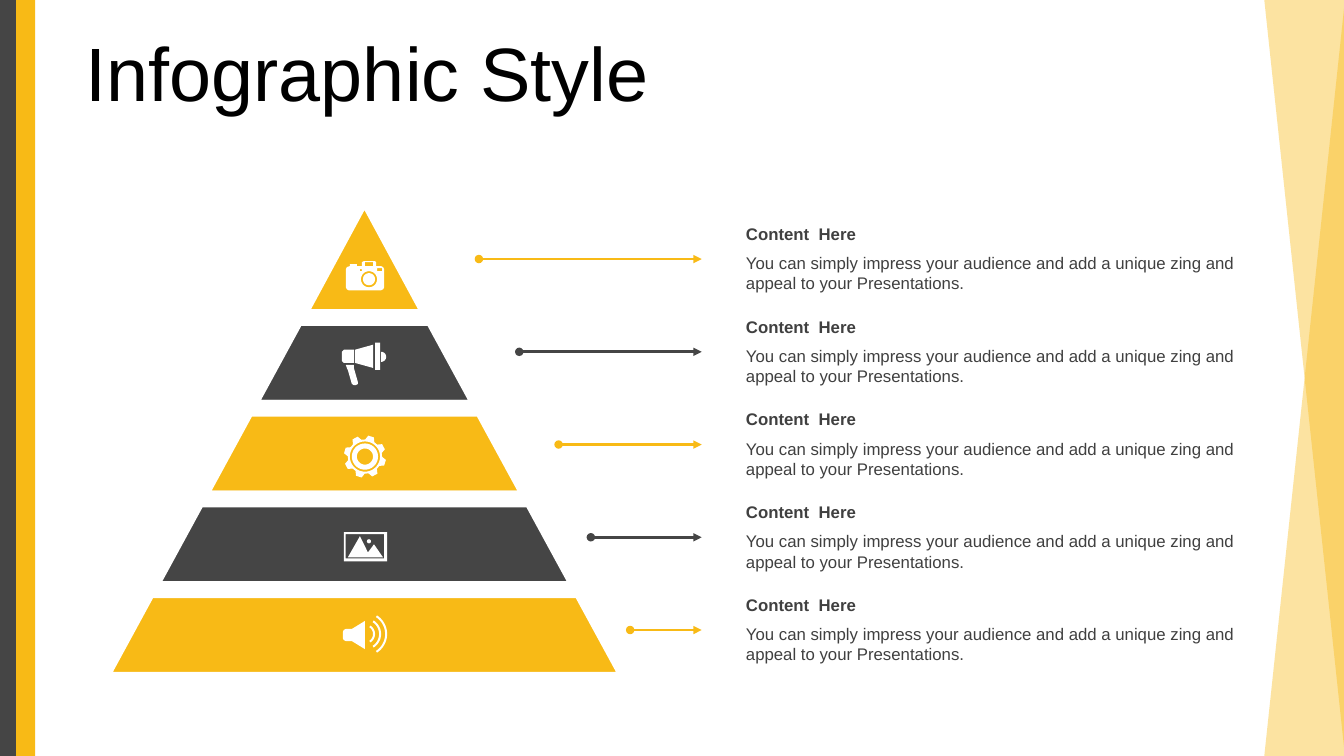
import math
from dataclasses import dataclass

from lxml import etree
from pptx import Presentation
from pptx import util as u
from pptx.dml.color import RGBColor
from pptx.enum import shapes, text
from pptx.oxml.ns import qn

PX = 9144  # one px is a hundredth of an inch

Point = tuple[float, float]
Contour = list[Point]


@dataclass(frozen=True)
class Theme:
    font: str = "Arial"
    amber: str = "F8BA16"
    charcoal: str = "454545"
    white: str = "FFFFFF"
    title: str = "000000"
    body: str = "404040"
    title_size: int = 54
    body_size: int = 12
    gap_width: int = 12
    arrow_width: int = 2


@dataclass(frozen=True)
class Tier:
    arrow_start: int
    color: str
    icon: list[Contour]
    heading: str = "Content  Here"
    detail: str = ("You can simply impress your audience and add a unique zing "
                   "and appeal to your Presentations.")


THEME = Theme()


# Outlines used by the icons
def box(left: int, top: int, right: int, bottom: int) -> Contour:
    return [(left, top), (right, top), (right, bottom), (left, bottom)]


def arc(cx: int, cy: int, radius: int, start: int, end: int) -> Contour:
    steps = 36
    angles = [math.radians(start + (end - start) * i / steps) for i in range(steps + 1)]
    return [(cx + radius * math.cos(a), cy + radius * math.sin(a)) for a in angles]


def circle(cx: int, cy: int, radius: int) -> Contour:
    return arc(cx, cy, radius, 0, 360)


def sound_wave(radius: int) -> Contour:
    return arc(362, 629, radius, -57, 57) + arc(362, 629, radius - 2, 57, -57)


def gear_rim(cx: int, cy: int) -> Contour:
    corners = [(17, -16), (21, -8), (21, 8), (17, 16)]
    rim = []
    for tooth in range(8):
        for radius, offset in corners:
            angle = math.radians(-73 + 45 * tooth + offset)
            rim.append((cx + radius * math.cos(angle), cy + radius * math.sin(angle)))
    return rim


CAMERA = [
    [(361, 259), (372, 259), (373, 260), (373, 264), (378, 264), (380, 265), (381, 267),
     (381, 285), (380, 287), (378, 288), (346, 288), (344, 287), (343, 285), (343, 267),
     (344, 265), (347, 264), (347, 262), (354, 262), (354, 264), (359, 264), (359, 260)],
    circle(366, 277, 8), circle(366, 277, 6),
    box(357, 267, 359, 269), box(374, 266, 379, 269), box(362, 260, 370, 264),
]
MEGAPHONE = [
    [(351, 362), (351, 365), (355, 379), (355, 381), (353, 382), (351, 382), (349, 381),
     (345, 367), (344, 365), (343, 362)],
    arc(378, 354, 5, -90, 90),
    [(341, 347), (351, 347), (351, 360), (341, 360), (339, 358), (339, 349)],
    [(370, 342), (370, 365), (352, 360), (352, 347)],
    box(372, 340, 377, 367),
]
GEAR = [gear_rim(362, 453)] + [circle(362, 453, radius) for radius in (15, 13, 8)]
LANDSCAPE = [
    box(341, 528, 384, 557), box(343, 530, 381, 554), circle(366, 537, 2),
    [(357, 532), (365, 548), (371, 540), (380, 553), (345, 553)],
]
SPEAKER = [
    [(362, 616), (362, 644), (349, 636), (343, 636), (341, 635), (340, 633), (340, 627),
     (341, 625), (343, 624), (349, 624)],
    *[sound_wave(radius) for radius in (10, 16, 22)],
]

TIERS = [
    Tier(475, THEME.amber, CAMERA),
    Tier(515, THEME.charcoal, MEGAPHONE),
    Tier(554, THEME.amber, GEAR),
    Tier(586, THEME.charcoal, LANDSCAPE),
    Tier(625, THEME.amber, SPEAKER),
]


# Drawing functions
def rgb(color: str) -> RGBColor:
    return RGBColor.from_string(color)


def px(*lengths: float) -> list[int]:
    return [round(length * PX) for length in lengths]


def paint(shape, color: str) -> None:
    shape.shadow.inherit = False
    shape.fill.solid()
    shape.fill.fore_color.rgb = rgb(color)
    shape.line.fill.background()


def add_block(slide, preset, bounds: tuple[int, ...], color: str):
    block = slide.shapes.add_shape(preset, *px(*bounds))
    paint(block, color)
    return block


def add_ray(slide, flips: tuple[str, ...]) -> None:
    ray = add_block(slide, shapes.MSO_SHAPE.RIGHT_TRIANGLE, (1254, 0, 80, 750), THEME.amber)
    for flip in flips:
        ray._element.spPr.xfrm.set(flip, "1")
    tint = ray._element.spPr.find(qn("a:solidFill"))[0]
    etree.SubElement(tint, qn("a:alpha"), val="40000")


def add_icon(slide, contours: list[Contour]) -> None:
    first, *others = [[px(*point) for point in contour] for contour in contours]
    pen = slide.shapes.build_freeform(*first[0], scale=1.0)
    pen.add_line_segments(first[1:], close=True)
    for contour in others:
        pen.move_to(*contour[0])
        pen.add_line_segments(contour[1:], close=True)
    paint(pen.convert_to_shape(), THEME.white)


def add_arrow(slide, start: int, end: int, y: int, color: str) -> None:
    arrow = slide.shapes.add_connector(shapes.MSO_CONNECTOR.STRAIGHT, *px(start, y, end, y))
    arrow.line.color.rgb = rgb(color)
    arrow.line.width = u.Pt(THEME.arrow_width)
    for tag, kind in {"a:headEnd": "oval", "a:tailEnd": "triangle"}.items():
        etree.SubElement(arrow.line._get_or_add_ln(), qn(tag), type=kind)
    etree.SubElement(arrow._element.spPr, qn("a:effectLst"))


def write(frame, words: str, color: str, anchor, auto_size, **font_format) -> None:
    frame_format = {"word_wrap": True, "vertical_anchor": anchor, "auto_size": auto_size}
    frame.text = words
    paragraph = frame.paragraphs[0]
    paragraph.alignment = text.PP_ALIGN.LEFT
    font = paragraph.runs[0].font
    for target, values in ((frame, frame_format), (font, {"name": THEME.font, **font_format})):
        for name, value in values.items():
            setattr(target, name, value)
    font.color.rgb = rgb(color)


def add_note(slide, top: int, height: int, words: str, anchor, bold: bool) -> None:
    note = slide.shapes.add_textbox(*px(730, top, 511, height))
    write(note.text_frame, words, THEME.body, anchor, text.MSO_AUTO_SIZE.SHAPE_TO_FIT_TEXT,
          size=u.Pt(THEME.body_size), bold=bold)


def add_tier(slide, index: int, tier: Tier) -> None:
    # Pyramid layer: the lower ones share a height, the tip is taller
    inset = 49 * (4 - index)
    top, height = (225 + 90 * index, 90) if index else (191, 125)
    layer = add_block(slide, shapes.MSO_SHAPE.TRAPEZOID,
                      (98 + inset, top, 527 - 2 * inset, height), tier.color)
    layer.adjustments[0] = 0.544
    layer.line.color.rgb = rgb(THEME.white)
    layer.line.width = u.Pt(THEME.gap_width)

    # Arrow and explanation
    row = 92 * index
    add_arrow(slide, tier.arrow_start, 696, 257 + row, tier.color)
    add_note(slide, 217 + row, 30, tier.heading, text.MSO_ANCHOR.MIDDLE, True)
    add_note(slide, 246 + row, 50, tier.detail, text.MSO_ANCHOR.TOP, False)


def main() -> None:
    deck = Presentation()
    deck.slide_width, deck.slide_height = px(1333, 750)
    slide = deck.slides.add_slide(deck.slide_layouts[5])

    # Side decoration
    add_ray(slide, ("flipH", "flipV"))
    for left, color in ((0, THEME.charcoal), (16, THEME.amber)):
        add_block(slide, shapes.MSO_SHAPE.RECTANGLE, (left, 0, 19, 750), color)
    add_ray(slide, ("flipH",))

    # Title
    title = slide.shapes.title
    title.left, title.top, title.width, title.height = px(75, 37, 1226, 79)
    write(title.text_frame, "Infographic Style", THEME.title, text.MSO_ANCHOR.MIDDLE,
          text.MSO_AUTO_SIZE.NONE, size=u.Pt(THEME.title_size))
    title.text_frame.paragraphs[0].line_spacing = 0.9

    # Pyramid with its icons on top
    for index, tier in enumerate(TIERS):
        add_tier(slide, index, tier)
    for tier in TIERS:
        add_icon(slide, tier.icon)

    deck.save("out.pptx")


if __name__ == "__main__":
    main()
